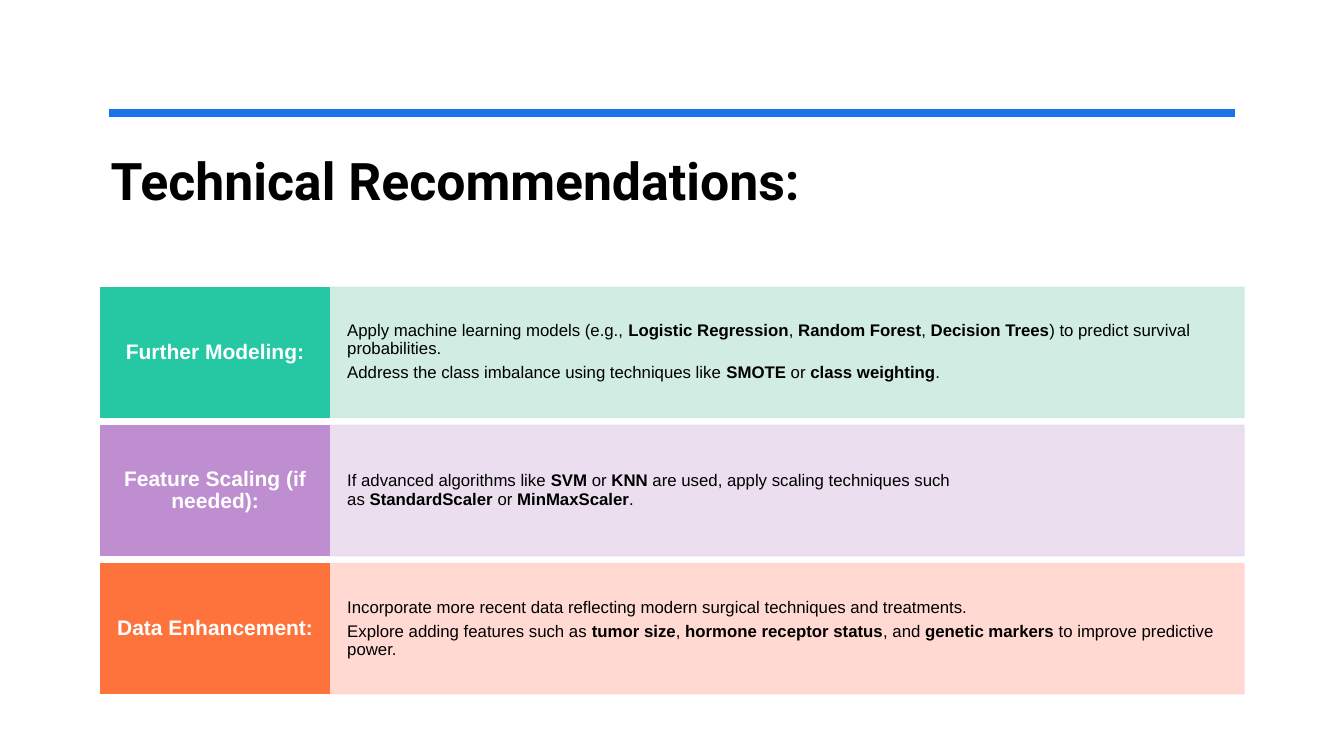
from dataclasses import dataclass

from lxml import etree
from pptx import Presentation
from pptx.dml.color import RGBColor
from pptx.enum.shapes import MSO_CONNECTOR, MSO_SHAPE
from pptx.enum.text import MSO_ANCHOR, PP_ALIGN
from pptx.oxml.ns import qn
from pptx.util import Pt

STRAIGHT = MSO_CONNECTOR.STRAIGHT
RECTANGLE = MSO_SHAPE.RECTANGLE
TOP, MIDDLE = MSO_ANCHOR.TOP, MSO_ANCHOR.MIDDLE
LEFT, CENTER = PP_ALIGN.LEFT, PP_ALIGN.CENTER
NO_BREAK_SPACE = chr(160)


@dataclass(frozen=True)
class Theme:
    """Colours, fonts and type sizes of the deck."""
    rule: str = "1973EB"
    ink: str = "000000"
    label_ink: str = "FFFFFF"
    title_font: str = "Roboto"
    body_font: str = "Arial"
    title_size: int = 37
    label_size: int = 15
    detail_size: int = 12
    line_spacing: float = 0.9
    space_after: float = 0.35
    detail_opacity: int = 90


THEME = Theme()

RECOMMENDATIONS = [
    ("Further Modeling:", "25C8A2", "CDEBE0", [
        "Apply machine learning models (e.g., *Logistic Regression*, *Random Forest*, "
        "*Decision Trees*) to predict survival probabilities.",
        "Address the class imbalance using techniques like *SMOTE* or *class weighting*.",
    ]),
    ("Feature Scaling (if needed):", "BF8ED1", "E8DBEE", [
        "If advanced algorithms like *SVM* or *KNN* are used, apply scaling techniques "
        "such as *StandardScaler* or *MinMaxScaler*.",
    ]),
    ("Data Enhancement:", "FE733C", "FFD5CE", [
        "Incorporate more recent data reflecting modern surgical techniques and treatments.",
        "Explore adding features such as *tumor size*, *hormone receptor status*, and "
        "*genetic markers* to improve predictive power.",
    ]),
]


def add_spans(para, text):
    """Add runs, bold between asterisks, with no-break spaces beside bold words."""
    for index, part in enumerate(text.split("*")):
        if part.startswith(" "):
            part = NO_BREAK_SPACE + part[1:]
        if part.endswith(" "):
            part = part[:-1] + NO_BREAK_SPACE
        if part:
            span = para.add_run()
            span.text = part
            if index % 2:
                span.font.bold = True


def write_text(shape, texts, font, size, color, bold, align, anchor, insets):
    """Fill a shape with paragraphs in one style."""
    frame = shape.text_frame
    frame.word_wrap = True
    frame.vertical_anchor = anchor
    frame.margin_left = frame.margin_right = Pt(insets[0])
    frame.margin_top = frame.margin_bottom = Pt(insets[1])
    for index, text in enumerate(texts):
        para = frame.add_paragraph() if index else frame.paragraphs[0]
        add_spans(para, text)
        para.alignment = align
        para.line_spacing = THEME.line_spacing
        para.space_after = Pt(size * THEME.space_after)
        para.font.name = font
        para.font.size = Pt(size)
        para.font.bold = bold
        para.font.color.rgb = RGBColor.from_string(color)


def add_panel(page, box, color, opacity=100):
    """Add a rectangle whose fill and outline share a colour and opacity."""
    panel = page.shapes.add_shape(RECTANGLE, *map(Pt, box))
    panel.shadow.inherit = False
    panel.fill.solid()
    panel.fill.fore_color.rgb = RGBColor.from_string(color)
    panel.line.color.rgb = RGBColor.from_string(color)
    panel.line.width = Pt(1)
    if opacity < 100:
        for tint in panel.element.spPr.iter(qn("a:srgbClr")):
            etree.SubElement(tint, qn("a:alpha"), val=str(opacity * 1000))
    return panel


def add_heading(page, box, text):
    """Place the thick rule and the title below it."""
    left, top, width, height = box
    rule = page.shapes.add_connector(
        STRAIGHT, Pt(left + 5.8), Pt(top), Pt(left + width - 6), Pt(top))
    rule.line.color.rgb = RGBColor.from_string(THEME.rule)
    rule.line.width = Pt(6)
    etree.SubElement(rule.element.spPr, qn("a:effectLst"))
    title_offset = 27.4
    title = page.shapes.add_textbox(
        Pt(left), Pt(top + title_offset), Pt(width), Pt(height - title_offset))
    write_text(title, [text], THEME.title_font, THEME.title_size, THEME.ink,
               True, LEFT, TOP, (7.2, 3.6))


def add_recommendations(page, box, rows, gap):
    """Stack equal rows, each a coloured label beside its tinted detail panel."""
    left, top, width, height = box
    label_width = width / 5
    row_height = (height - gap * (len(rows) - 1)) / len(rows)
    for index, (label, color, tint, details) in enumerate(rows):
        row_top = top + index * (row_height + gap)
        detail_box = (left + label_width, row_top, width - label_width, row_height)
        detail_panel = add_panel(page, detail_box, tint, THEME.detail_opacity)
        write_text(detail_panel, details, THEME.body_font, THEME.detail_size,
                   THEME.ink, None, LEFT, MIDDLE, (12.7, 23.6))
        label_panel = add_panel(page, (left, row_top, label_width, row_height), color)
        write_text(label_panel, [label], THEME.body_font, THEME.label_size,
                   THEME.label_ink, True, CENTER, MIDDLE, (8.6, 9.4))


def main():
    """Build the deck and save it."""
    deck = Presentation()
    deck.slide_width, deck.slide_height = Pt(960), Pt(540)
    page = deck.slides.add_slide(deck.slide_layouts[6])
    add_heading(page, (72, 80.6, 816, 117.4), "Technical Recommendations:")
    add_recommendations(page, (72, 205.2, 816.5, 290.4), RECOMMENDATIONS, 5.6)
    deck.save("out.pptx")


if __name__ == "__main__":
    main()
